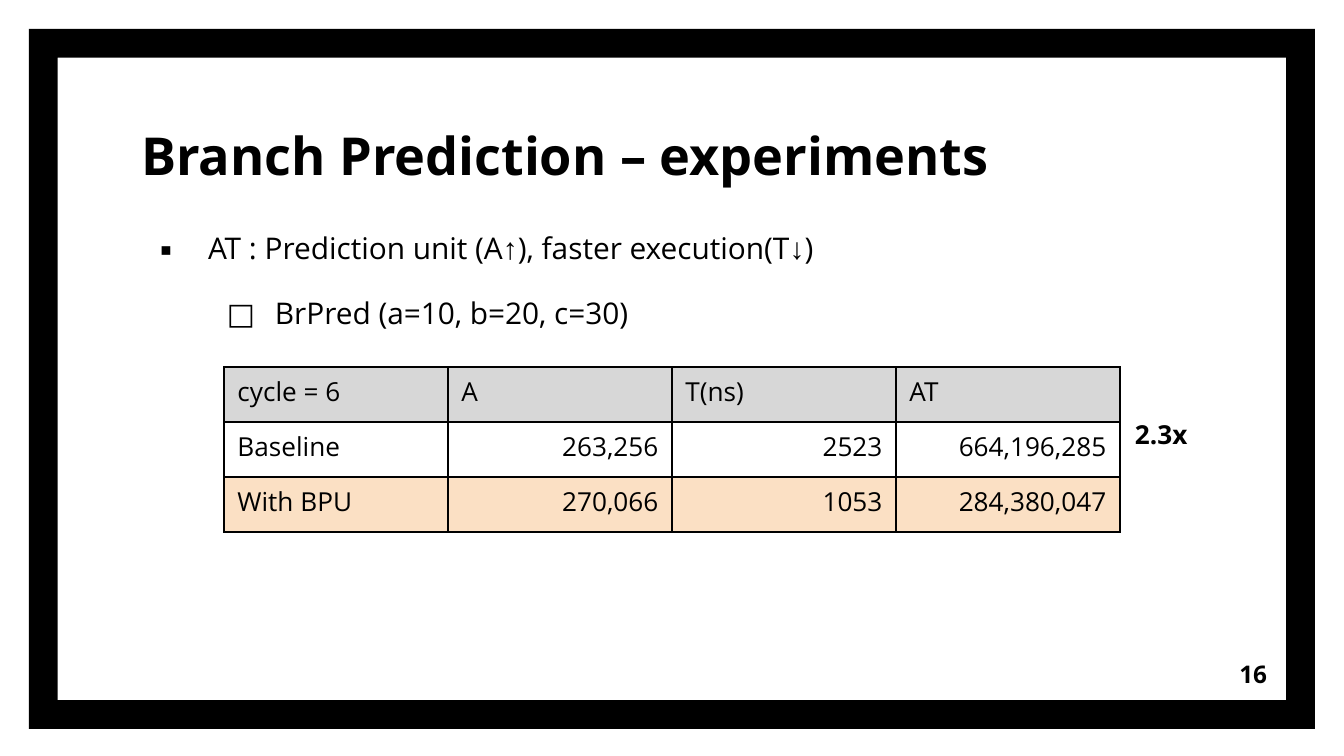
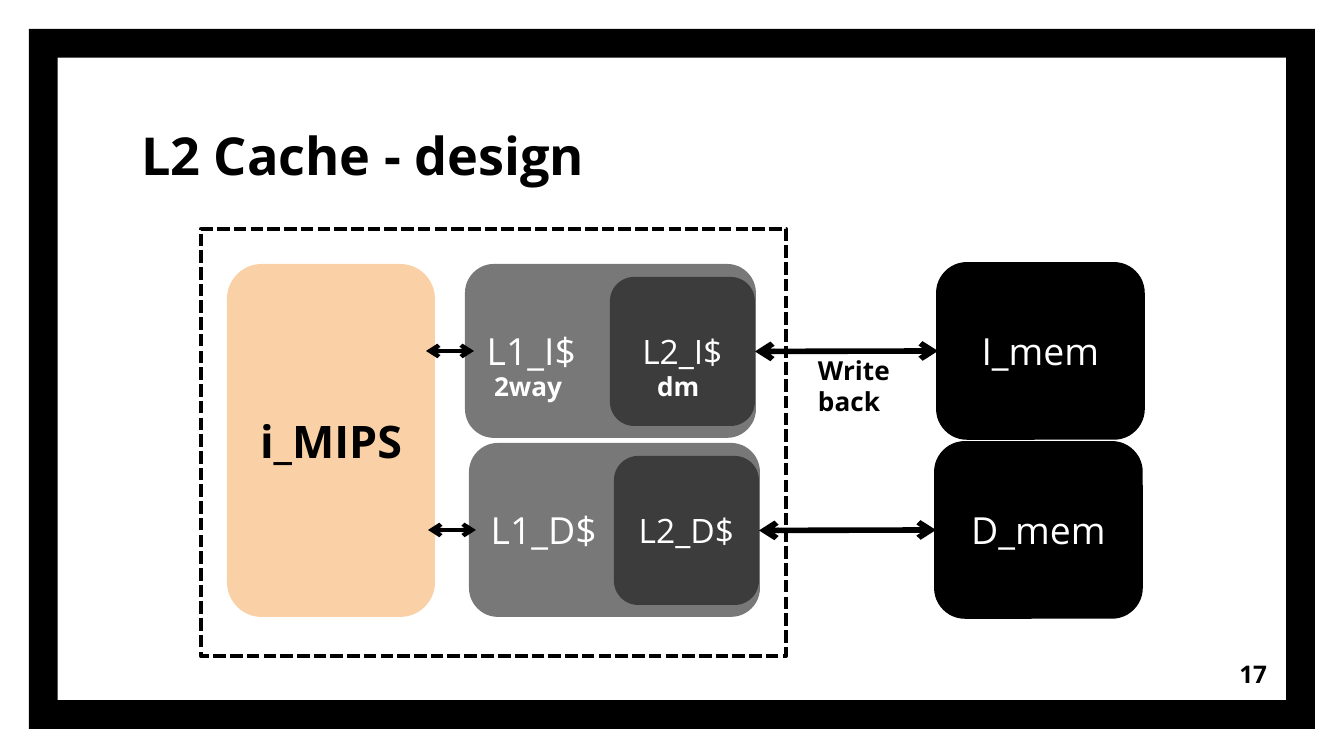
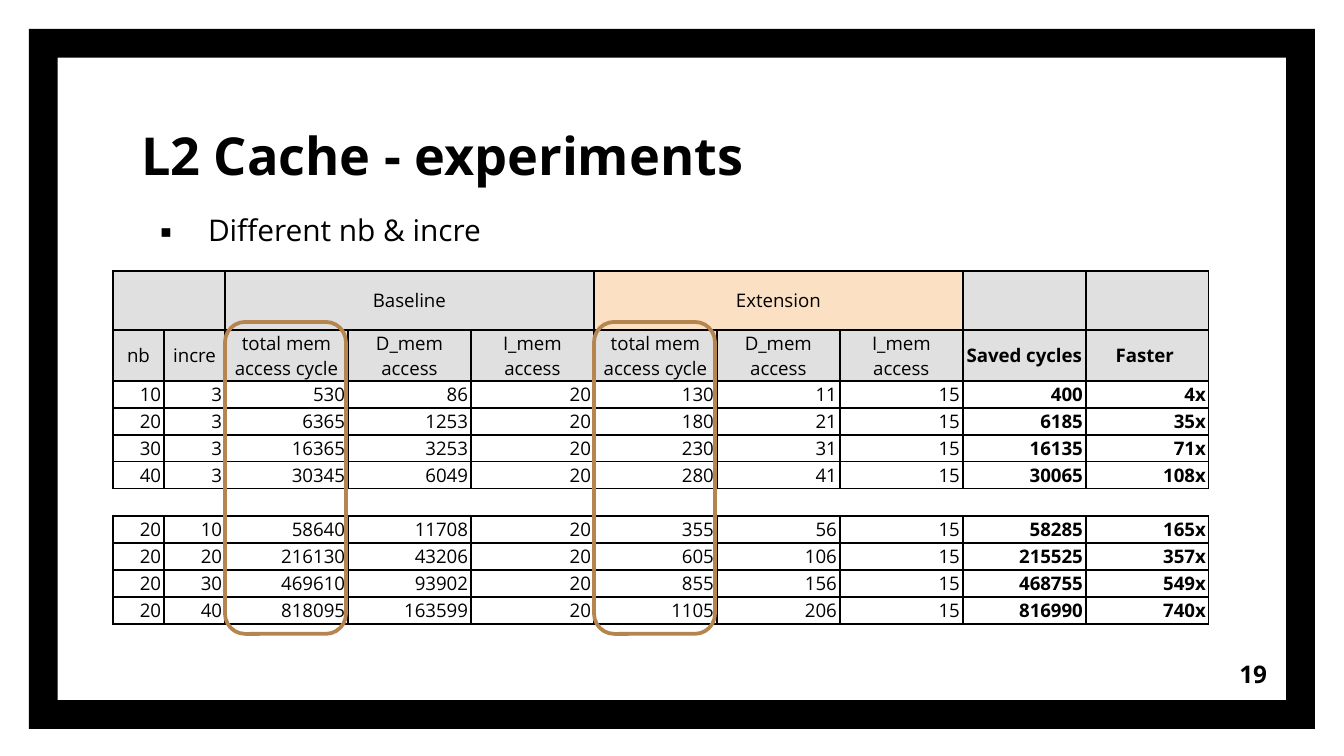
from lxml.etree import SubElement
from pptx import Presentation
from pptx.dml.color import RGBColor
from pptx.enum.dml import MSO_LINE
from pptx.enum.shapes import MSO_CONNECTOR, MSO_SHAPE
from pptx.enum.text import MSO_ANCHOR as ANCHOR, MSO_AUTO_SIZE, PP_ALIGN as ALIGN
from pptx.oxml import parse_xml
from pptx.oxml.ns import nsdecls, qn
from pptx.util import Emu, Pt

C = {
    "ink": "000000", "paper": "FFFFFF", "head": "D7D7D7", "band": "E0E0E0",
    "peach": "FBE0C4", "core": "FAD1A6", "l1": "787878", "l2": "3C3C3C",
    "mark": "B6844F",
}
FONT, ARROW_FONT = "Open Sans", "Times New Roman"

BRANCH = {
    "title": "Branch Prediction – experiments", "title_w": 1089, "page": 16,
    "body_w": 1089, "spacing": 1.5,
    "bullets": [
        (0, "▪", ["AT : Prediction unit (A", "↑", "), faster execution(T", "↓", ")"]),
        (1, "□", ["BrPred (a=10, b=20, c=30)"]),
    ],
}
BRANCH_ROWS = [
    ("cycle = 6", "A", "T(ns)", "AT"),
    ("Baseline", "263,256", "2523", "664,196,285"),
    ("With BPU", "270,066", "1053", "284,380,047"),
]
BRANCH_FILLS = ["head", None, "peach"]

DESIGN = {"title": "L2 Cache - design", "title_w": 749, "page": 17}
BLOCKS = [
    ("i_MIPS", (227, 264, 208, 353), "core", "ink", 24, ALIGN.CENTER),
    ("L1_I$", (465, 264, 291, 174), "l1", "paper", 20, ALIGN.LEFT),
    ("L1_D$", (469, 443, 291, 174), "l1", "paper", 20, ALIGN.LEFT),
    ("L2_I$", (610, 277, 145, 149), "l2", "paper", 18, ALIGN.CENTER),
    ("L2_D$", (614, 456, 145, 149), "l2", "paper", 18, ALIGN.CENTER),
    ("I_mem", (938, 264, 205, 174), "ink", "paper", 20, ALIGN.CENTER),
    ("D_mem", (936, 443, 205, 174), "ink", "paper", 20, ALIGN.CENTER),
]
CHIP = (201, 229, 585, 427)
CORE_LINKS = [(426, 474, 351), (428, 476, 530)]
MEM_LINKS = [("L2_I$", "I_mem"), ("L2_D$", "D_mem")]
LABELS = [
    ("2way", (462, 357, 173, 97), "paper"),
    ("dm", (625, 357, 124, 97), "paper"),
    ("Write back", (786, 341, 124, 97), "ink"),
]

CACHE = {
    "title": "L2 Cache - experiments", "title_w": 749, "page": 19,
    "body_w": 1071, "spacing": None,
    "bullets": [(0, "▪", ["Different nb & incre"])],
}
ACCESS = ["total mem access cycle", "D_mem access", "I_mem access"]
CACHE_HEAD = [
    ["", "", "Baseline", "", "", "Extension", "", "", "", ""],
    ["nb", "incre", *ACCESS, *ACCESS, "Saved cycles", "Faster "],
]
HEAD_SPANS = [(0, 1), (2, 4), (5, 7)]
BY_NB = [
    (10, 3, 530, 86, 20, 130, 11, 15, 400, "4x"),
    (20, 3, 6365, 1253, 20, 180, 21, 15, 6185, "35x"),
    (30, 3, 16365, 3253, 20, 230, 31, 15, 16135, "71x"),
    (40, 3, 30345, 6049, 20, 280, 41, 15, 30065, "108x"),
]
BY_INCRE = [
    (20, 10, 58640, 11708, 20, 355, 56, 15, 58285, "165x"),
    (20, 20, 216130, 43206, 20, 605, 106, 15, 215525, "357x"),
    (20, 30, 469610, 93902, 20, 855, 156, 15, 468755, "549x"),
    (20, 40, 818095, 163599, 20, 1105, 206, 15, 816990, "740x"),
]
CACHE_COLS = [51, 61] + [123] * 8
CACHE_X, ROW_H = 113, 27
BOLD_FROM = 8
MARKED_COLS = [2, 5]


def px(n):
    return Emu(round(n * 9144000 / 1344))


def box(at):
    return [px(n) for n in at]


def rgb(name):
    return RGBColor.from_string(C[name])


def add_run(p, text, size, color="ink", bold=False, font=FONT):
    r = p.add_run()
    r.text = text
    r.font.name, r.font.size, r.font.bold = font, Pt(size), bold
    r.font.color.rgb = rgb(color)


def indent(p, left, first=0):
    pPr = p._p.get_or_add_pPr()
    pPr.set("marL", str(px(left)))
    pPr.set("indent", str(px(first)))
    return pPr


def setup_frame(tf, anchor=ANCHOR.TOP):
    tf.word_wrap = True
    tf.auto_size = MSO_AUTO_SIZE.NONE
    tf.vertical_anchor = anchor
    tf.margin_left = tf.margin_right = tf.margin_top = tf.margin_bottom = px(13)
    return tf


def place(sp, at):
    sp.left, sp.top, sp.width, sp.height = box(at)


def add_label(s, text, at, size, color="ink", align=ALIGN.LEFT, anchor=ANCHOR.TOP, left=0, before=0):
    tf = setup_frame(s.shapes.add_textbox(*box(at)).text_frame, anchor)
    p = tf.paragraphs[0]
    p.alignment, p.space_before = align, Pt(before)
    indent(p, left)
    add_run(p, text, size, color, bold=True)


def add_box(s, kind, at, fill=None, line=None, width=0):
    sp = s.shapes.add_shape(kind, *box(at))
    sp.shadow.inherit = False
    if fill:
        sp.fill.solid()
        sp.fill.fore_color.rgb = rgb(fill)
    else:
        sp.fill.background()
    if line:
        sp.line.color.rgb, sp.line.width = rgb(line), Pt(width)
    else:
        sp.line.fill.background()
    return sp


def add_arrow(s, x1, x2, y, width):
    cx = s.shapes.add_connector(MSO_CONNECTOR.STRAIGHT, px(x1), px(y), px(x2), px(y))
    cx.line.color.rgb, cx.line.width = rgb("ink"), Pt(width)
    spPr = cx.element.spPr
    for end in ("a:headEnd", "a:tailEnd"):
        SubElement(spPr.find(qn("a:ln")), qn(end), type="arrow")
    SubElement(spPr, qn("a:effectLst"))
    return cx


def add_grid(s, x, y, cols, heights):
    frame = s.shapes.add_table(len(heights), len(cols), px(x), px(y), px(sum(cols)), px(sum(heights)))
    table = frame.table
    table.first_row = table.horz_banding = False
    for col, w in zip(table.columns, cols):
        col.width = px(w)
    for row, h in zip(table.rows, heights):
        row.height = px(h)
    return table


def fill_cell(cell, text, size, align, fill, border, bold=False):
    if fill:
        cell.fill.solid()
        cell.fill.fore_color.rgb = rgb(fill)
    else:
        cell.fill.background()
    tcPr = cell._tc.get_or_add_tcPr()
    for i, side in enumerate("LRTB"):
        tcPr.insert(i, parse_xml(
            f'<a:ln{side} {nsdecls("a")} w="{Pt(border)}"><a:solidFill>'
            f'<a:srgbClr val="{C["ink"]}"/></a:solidFill></a:ln{side}>'))
    if text:
        p = cell.text_frame.paragraphs[0]
        p.alignment = align
        add_run(p, text, size, bold=bold)


def add_slide(prs, info):
    bullets = info.get("bullets")
    s = prs.slides.add_slide(prs.slide_layouts[1 if bullets else 5])
    place(s.shapes.title, (128, 93, info["title_w"], 106))
    p = setup_frame(s.shapes.title.text_frame, ANCHOR.BOTTOM).paragraphs[0]
    p.alignment, p.space_before = ALIGN.LEFT, Pt(6)
    add_run(p, info["title"], 28, bold=True)
    add_label(s, str(info["page"]), (1199, 645, 81, 58), 13, align=ALIGN.RIGHT, anchor=ANCHOR.MIDDLE)
    if bullets:
        body = s.placeholders[1]
        place(body, (128, 199, info["body_w"], 425))
        tf = setup_frame(body.text_frame)
        for i, (level, char, runs) in enumerate(bullets):
            p = tf.add_paragraph() if i else tf.paragraphs[0]
            p.level, p.space_before = level, Pt(6)
            p.line_spacing = info["spacing"]
            pPr = indent(p, 67 * (level + 1), -48)
            SubElement(SubElement(pPr, qn("a:buClr")), qn("a:srgbClr"), val=C["ink"])
            SubElement(pPr, qn("a:buFont"), typeface=FONT)
            SubElement(pPr, qn("a:buChar"), char=char)
            for text in runs:
                add_run(p, text, 16, font=ARROW_FONT if text in "↑↓" else FONT)
    return s


def build_branch(prs):
    s = add_slide(prs, BRANCH)
    table = add_grid(s, 224, 367, [224] * 4, [55] * 3)
    for i, row in enumerate(BRANCH_ROWS):
        for j, text in enumerate(row):
            align = ALIGN.RIGHT if i and j else ALIGN.LEFT
            fill_cell(table.cell(i, j), text, 14, align, BRANCH_FILLS[i], 0.75)
    add_label(s, "2.3x", (1103, 405, 108, 97), 14, left=19, before=6)
    return s


def build_design(prs):
    s = add_slide(prs, DESIGN)
    blocks = {}
    for name, at, fill, color, size, align in BLOCKS:
        line = "ink" if fill == "ink" else None
        sp = blocks[name] = add_box(s, MSO_SHAPE.ROUNDED_RECTANGLE, at, fill, line, 2)
        sp.text_frame.vertical_anchor = ANCHOR.MIDDLE
        p = sp.text_frame.paragraphs[0]
        p.alignment = align
        add_run(p, name, size, color, bold=fill == "core")
    chip = add_box(s, MSO_SHAPE.RECTANGLE, CHIP, None, "ink", 2.25)
    chip.line.dash_style = MSO_LINE.SQUARE_DOT
    for x1, x2, y in CORE_LINKS:
        add_arrow(s, x1, x2, y, 2.25)
    for cache, mem in MEM_LINKS:
        cx = add_arrow(s, 0, 0, 0, 3)
        cx.begin_connect(blocks[cache], 3)
        cx.end_connect(blocks[mem], 1)
    for text, at, color in LABELS:
        add_label(s, text, at, 14, color, left=19, before=6)


def add_cache_table(s, y, head, data):
    heights = [59, 47][:len(head)] + [ROW_H] * len(data)
    table = add_grid(s, CACHE_X, y, CACHE_COLS, heights)
    for i, row in enumerate(head + data):
        is_head = i < len(head)
        for j, value in enumerate(row):
            cell = table.cell(i, j)
            cell.vertical_anchor = ANCHOR.MIDDLE
            cell.margin_left = cell.margin_right = px(3)
            cell.margin_top = cell.margin_bottom = 0
            fill = "band" if is_head else None
            if is_head and i == 0 and 5 <= j <= 7:
                fill = "peach"
            fill_cell(cell, str(value), 10, ALIGN.CENTER if is_head else ALIGN.RIGHT,
                      fill, 1, bold=j >= BOLD_FROM)
    if head:
        for first, last in HEAD_SPANS:
            table.cell(0, first).merge(table.cell(0, last))


def build_cache(prs):
    s = add_slide(prs, CACHE)
    add_cache_table(s, 271, CACHE_HEAD, BY_NB)
    add_cache_table(s, 516, [], BY_INCRE)
    for col in MARKED_COLS:
        x = CACHE_X + sum(CACHE_COLS[:col])
        add_box(s, MSO_SHAPE.ROUNDED_RECTANGLE, (x, 322, 121, 312), None, "mark", 2)


def main():
    prs = Presentation()
    prs.slide_width, prs.slide_height = px(1344), px(756)
    s = build_branch(prs)
    frame = add_box(s, MSO_SHAPE.FRAME, (29, 29, 1286, 700), "ink")
    frame.adjustments[0] = 0.041
    prs.slide_master.shapes.element.insert(2, frame.element)
    build_design(prs)
    build_cache(prs)
    prs.save("out.pptx")


if __name__ == "__main__":
    main()
